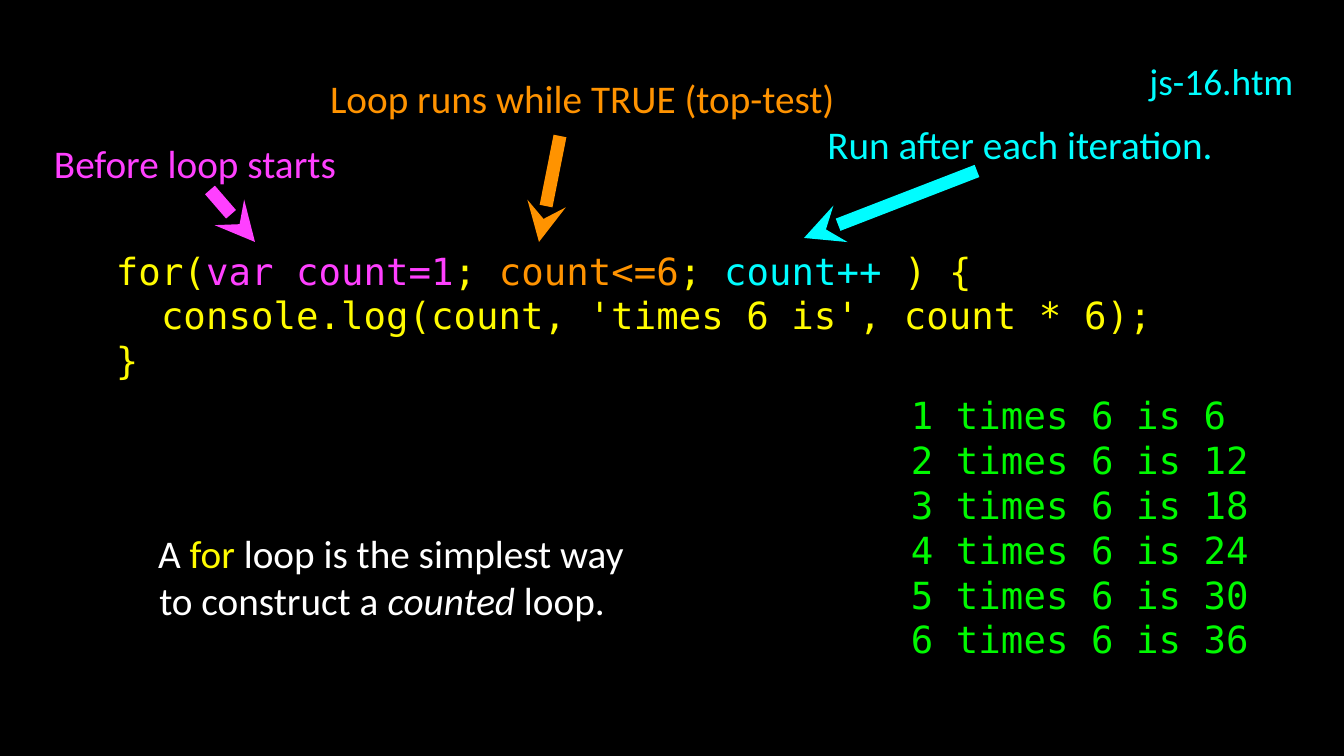
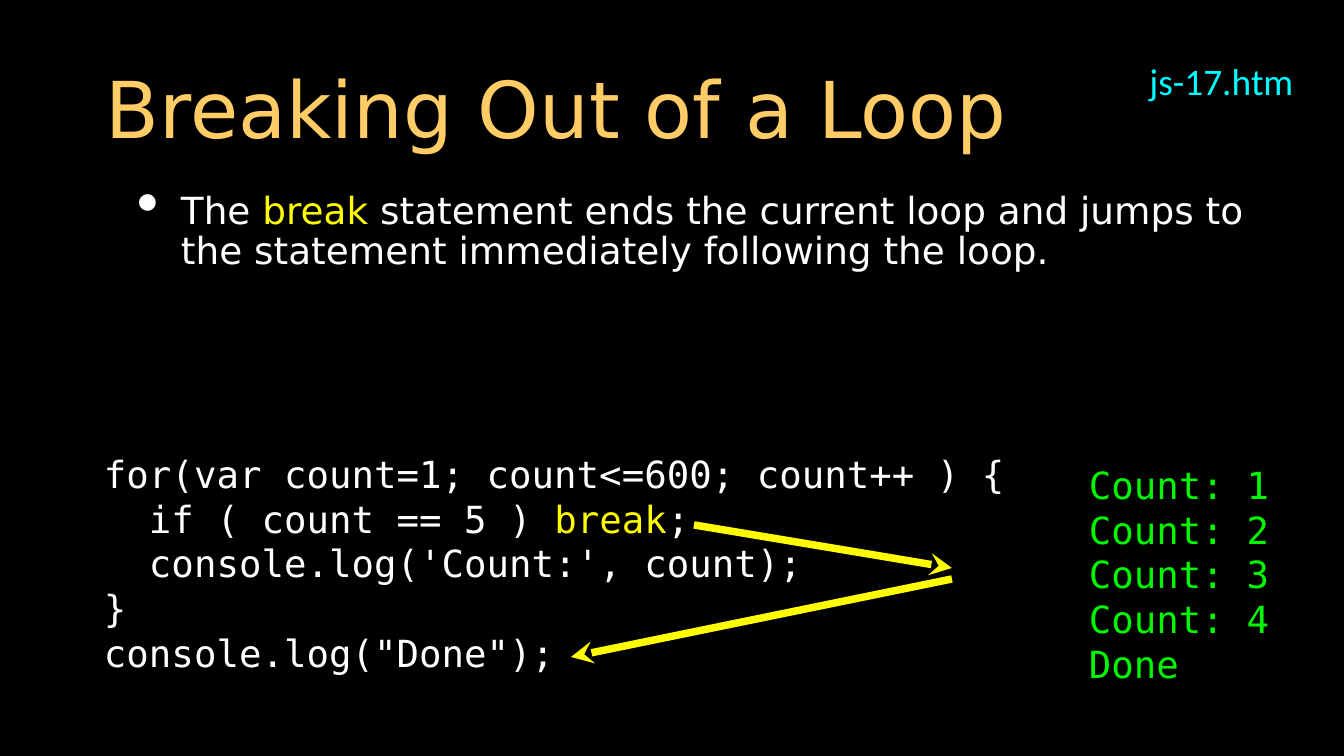
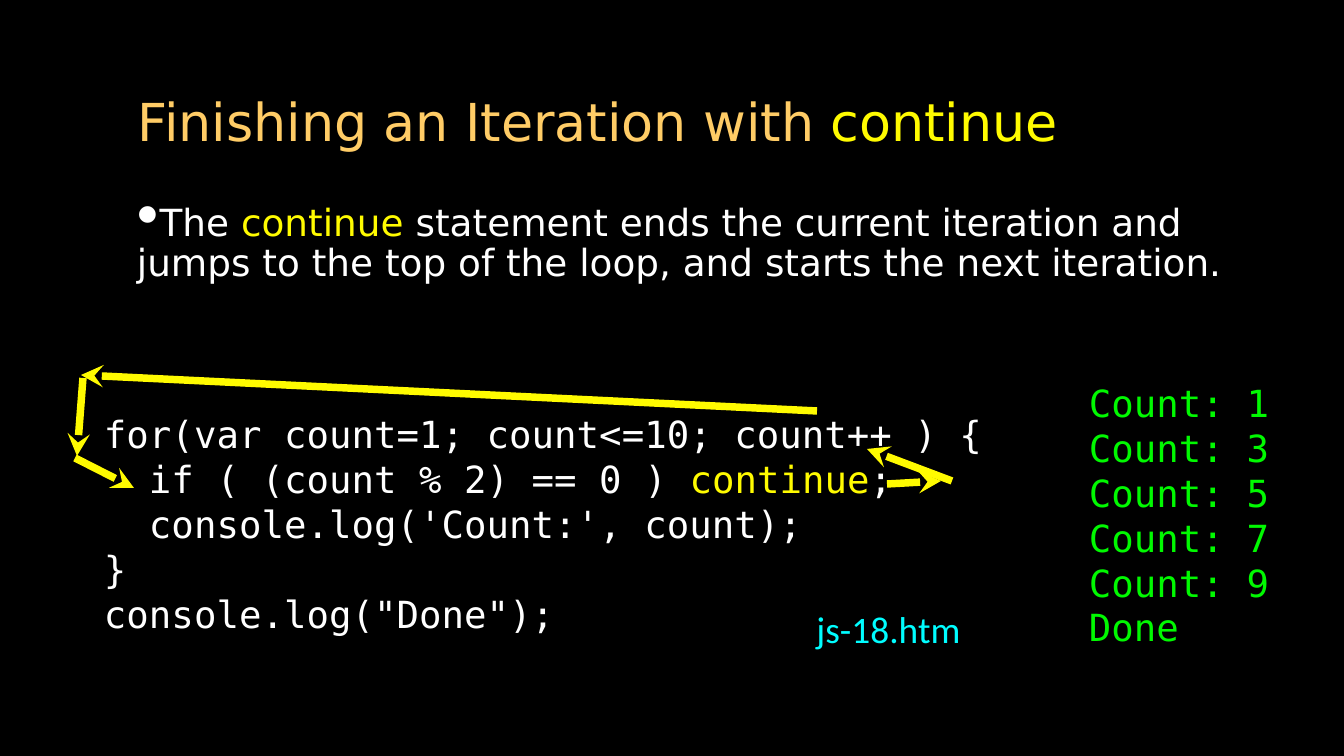
from pptx import Presentation
from pptx.dml.color import RGBColor
from pptx.enum.shapes import MSO_CONNECTOR
from pptx.enum.text import MSO_ANCHOR, PP_ALIGN
from pptx.oxml.ns import qn
from pptx.util import Pt
from lxml.etree import SubElement

PX = 914400 / 134.4
WHITE, YELLOW, GREEN, CYAN = "FFFFFF", "FFFB00", "00F900", "00FDFF"
PINK, ORANGE, GOLD = "FF40FF", "FF9300", "FFCC66"
SANS, MONO, LABEL = "DejaVu Sans", "DejaVu Sans Mono", "Calibri"

# Content: a line is a list of runs; a run is a text or (text, colour, italic)
# Boxes are left, top, width, height; arrows are tip, tail
SLIDES = [
    {
        "out": ((907, 387, 372, 280), [f"{n} times 6 is {n * 6}" for n in range(1, 7)]),
        "labels": [
            ((145, 526, 492, 101), WHITE,
             ["A ", ("for ", YELLOW), "loop is the simplest way to construct a ",
              ("counted", WHITE, True), " loop.  "]),
            ((44, 135, 302, 55), PINK, ["Before loop starts"]),
            ((313, 70, 539, 55), ORANGE, ["Loop runs while TRUE (top-test)"]),
            ((819, 116, 402, 55), CYAN, ["Run after each iteration."]),
        ],
        "weight": 7,
        "arrows": [((255, 242), (210, 190), PINK),
                   ((539, 242), (560, 136), ORANGE),
                   ((804, 238), (977, 171), CYAN)],
        "code": ((112, 220, 1199, 190), YELLOW, [
            ["for(", ("var count=1", PINK), "; ", ("count<=6", ORANGE), "; ",
             ("count++", CYAN), " ) {"],
            ["  console.log(count, 'times 6 is', count * 6);"],
            ["}"],
        ]),
        "file": ((1142, 53), "js-16.htm"),
    },
    {
        "title": ((93, 40, 1159, 146), 42, ["Breaking Out of a Loop"]),
        "body": ((106, 185, 1164, 159), (62, -44),
                 ["The ", ("break", YELLOW), " statement ends the current loop and jumps "
                  "to the statement immediately following the loop."]),
        "code": ((100, 446, 1199, 234), WHITE, [
            ["for(var count=1; count<=600; count++ ) {"],
            ["  if ( count == 5 ) ", ("break", YELLOW), ";"],
            ["  console.log('Count:', count);"],
            ["}"],
            ['console.log("Done");'],
        ]),
        "weight": 4,
        "arrows": [((571, 657), (952, 579), YELLOW),
                   ((952, 568), (694, 525), YELLOW)],
        "out": ((1085, 457, 214, 234), [f"Count: {n}" for n in range(1, 5)] + ["Done"]),
        "file": ((1142, 53), "js-17.htm"),
    },
    {
        "title": ((125, 64, 1094, 121), 28,
                  ["Finishing an Iteration with ", ("continue", YELLOW)]),
        "body": ((106, 197, 1164, 140), (18, 0),
                 ["The ", ("continue", YELLOW), " statement ends the current iteration and "
                  "jumps to the top of the loop, and starts the next iteration."]),
        "code": ((100, 390, 1199, 267), WHITE, [
            ["for(var count=1; count<=10; count++ ) {"],
            ["  if ( (count % 2) == 0 ) ", ("continue", YELLOW), ";"],
            ["  console.log('Count:', count);"],
            ["}"],
            ['console.log("Done");'],
        ]),
        "weight": 4,
        "arrows": [((941, 481), (887, 484), YELLOW),
                   ((867, 449), (952, 481), YELLOW),
                   ((81, 375), (817, 411), YELLOW),
                   ((77, 456), (83, 378), YELLOW),
                   ((134, 488), (75, 458), YELLOW)],
        "out": ((1085, 375, 214, 280), [f"Count: {n}" for n in range(1, 10, 2)] + ["Done"]),
        "file": ((809, 601), "js-18.htm"),
    },
]


def px(n):
    return round(n * PX)


def rgb(tone):
    return RGBColor.from_string(tone)


def outline(slide, box):
    """Add a clear four-sided outline that holds text."""
    x, y, w, h = box
    pen = slide.shapes.build_freeform(x, y, scale=PX)
    pen.add_line_segments([(x + w, y), (x + w, y + h), (x, y + h)])
    shape = pen.convert_to_shape()
    shape.shadow.inherit = False
    shape.fill.background()
    shape.line.fill.background()
    return shape


def write(shape, lines, font, size, tone, pad=(4, 4),
          align=PP_ALIGN.LEFT, anchor=MSO_ANCHOR.MIDDLE, pitch=None):
    """Fill a shape with lines and return the last paragraph."""
    frame = shape.text_frame
    frame.word_wrap = True
    frame.vertical_anchor = anchor
    frame.margin_left = frame.margin_right = px(pad[0])
    frame.margin_top = frame.margin_bottom = px(pad[1])
    for i, line in enumerate(lines):
        para = frame.add_paragraph() if i else frame.paragraphs[0]
        para.alignment = align
        para.line_spacing = pitch
        para.font.name, para.font.size = font, Pt(size)
        for part in line:
            text, *style = (part, tone) if isinstance(part, str) else part
            run = para.add_run()
            run.text = text
            run.font.color.rgb = rgb(style[0])
            run.font.italic = True if len(style) > 1 else None
    return para


def mono(slide, box, tone, lines):
    write(outline(slide, box), lines, MONO, 20, tone)


def label(slide, box, tone, line, size=21):
    write(outline(slide, box), [line], LABEL, size, tone, align=PP_ALIGN.CENTER)


def prose(slide, box, line, size, tone, anchor):
    area = slide.shapes.add_textbox(*map(px, box))
    return write(area, [line], SANS, size, tone, (13, 7), anchor=anchor, pitch=0.9)


def bullet(slide, box, indent, line):
    para = prose(slide, box, line, 20, WHITE, MSO_ANCHOR.TOP)
    para.space_before = Pt(19.8)
    props = para._p.get_or_add_pPr()
    props.set("marL", str(px(indent[0])))
    props.set("indent", str(px(indent[1])))
    SubElement(props, qn("a:buSzPct")).set("val", "171000")
    SubElement(props, qn("a:buChar")).set("char", "•")
    # The default run properties must come after the bullet
    props.append(props.find(qn("a:defRPr")))


def arrow(slide, tip, tail, tone, weight):
    line = slide.shapes.add_connector(MSO_CONNECTOR.STRAIGHT, *map(px, tip + tail))
    line.line.color.rgb = rgb(tone)
    line.line.width = Pt(weight)
    SubElement(line.line._get_or_add_ln(), qn("a:headEnd")).set("type", "stealth")
    SubElement(line._element.spPr, qn("a:effectLst"))


def build(deck, data):
    slide = deck.slides.add_slide(deck.slide_layouts[6])
    slide.background.fill.solid()
    slide.background.fill.fore_color.rgb = rgb("000000")
    if "title" in data:
        box, size, line = data["title"]
        prose(slide, box, line, size, GOLD, MSO_ANCHOR.MIDDLE)
        bullet(slide, *data["body"])
    for item in data.get("labels", []):
        label(slide, *item)
    mono(slide, *data["code"])
    box, lines = data["out"]
    mono(slide, box, GREEN, [[line] for line in lines])
    for item in data["arrows"]:
        arrow(slide, *item, data["weight"])
    spot, name = data["file"]
    label(slide, spot + (159, 55), CYAN, [name], 20)


def main():
    deck = Presentation()
    deck.slide_width, deck.slide_height = px(1344), px(756)
    for data in SLIDES:
        build(deck, data)
    deck.save("out.pptx")


if __name__ == "__main__":
    main()
